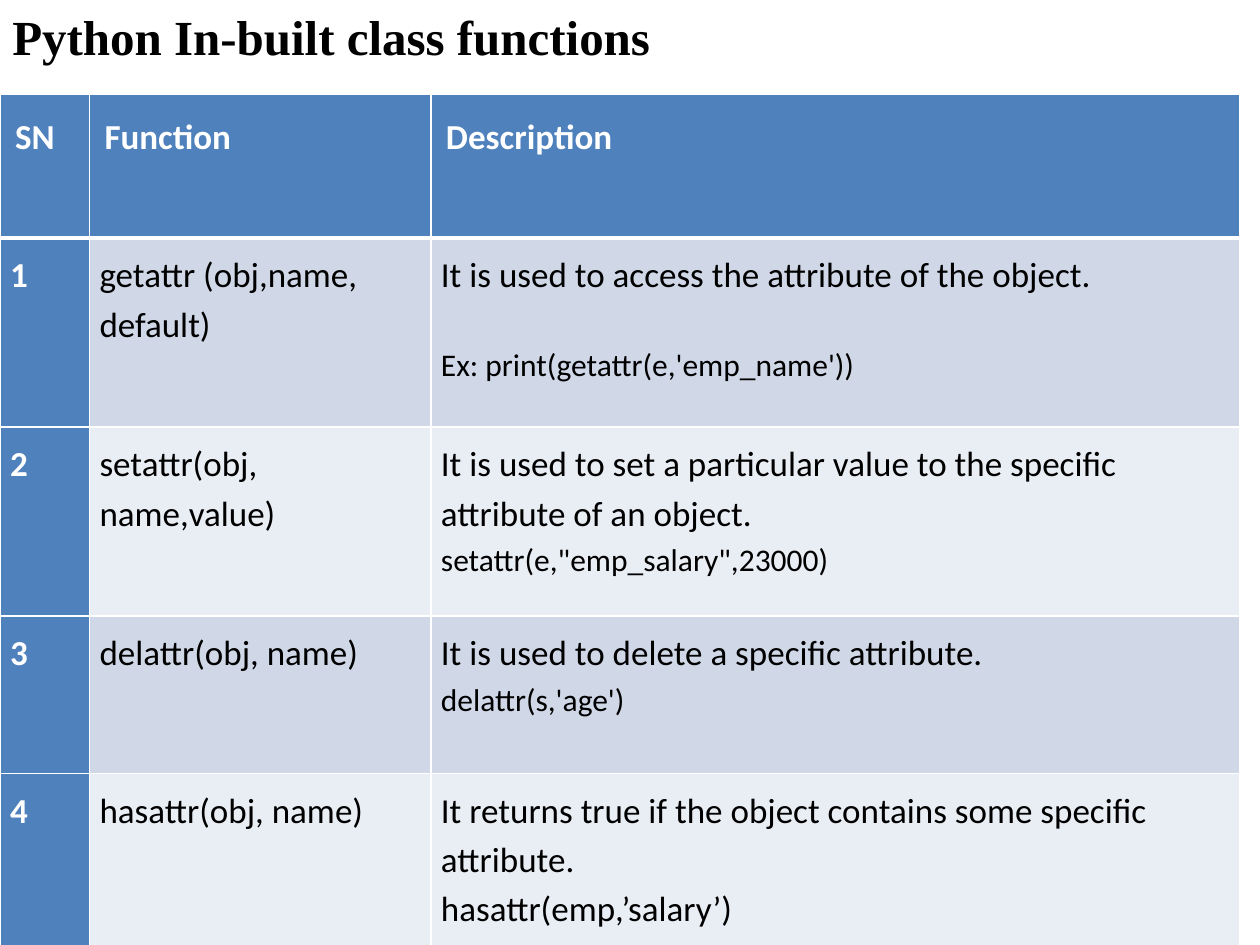
from lxml import etree
from pptx import Presentation
from pptx.dml.color import RGBColor
from pptx.enum.text import MSO_ANCHOR, PP_ALIGN
from pptx.oxml.ns import qn
from pptx.util import Inches, Pt

JUSTIFY, LEFT, TOP = PP_ALIGN.JUSTIFY, PP_ALIGN.LEFT, MSO_ANCHOR.TOP

SLIDE_W, SLIDE_H = 10, 7.5
COLUMNS = [0.71, 2.71, 6.42]
ROWS = [1.14, 1.5, 1.5, 1.25, 1.5]
BLUE, WHITE, BLACK = "4F81BD", "FFFFFF", "000000"
BANDS = ["D0D8E8", "E9EDF4"]

HEADINGS = ["SN", "Function", "Description"]
# Signature, description, example, example size, space before the example
FUNCTIONS = [
    ("getattr (obj,name, default)",
     "It is used to access the attribute of the object.",
     "Ex: print(getattr(e,'emp_name'))", 18, 25),
    ("setattr(obj, name,value)",
     "It is used to set a particular value to the specific attribute of an object.",
     'setattr(e,"emp_salary",23000)', 18, 0),
    ("delattr(obj, name)",
     "It is used to delete a specific attribute.",
     "delattr(s,'age')", 18, 0),
    ("hasattr(obj, name)",
     "It returns true if the object contains some specific attribute.",
     "hasattr(emp,’salary’)", 20, 0),
]


def rgb(value):
    return RGBColor.from_string(value)


def set_all(target, values):
    for name, value in values.items():
        setattr(target, name, value)


def write(paragraph, text, size, color, bold, font="Calibri", **layout):
    run = paragraph.add_run()
    run.text = text
    set_all(run.font, {"name": font, "size": Pt(size), "bold": bold})
    run.font.color.rgb = rgb(color)
    set_all(paragraph, layout)


def add_borders(cell, bottom):
    properties = cell._tc.get_or_add_tcPr()
    widths = {"a:lnL": 1, "a:lnR": 1, "a:lnT": 1, "a:lnB": bottom}
    for position, (side, width) in enumerate(widths.items()):
        line = etree.Element(qn(side), w=str(Pt(width)))
        fill = etree.SubElement(line, qn("a:solidFill"))
        etree.SubElement(fill, qn("a:srgbClr"), val=WHITE)
        properties.insert(position, line)


def fill_cell(cell, lines, fill, color, bold, inset=0.08, bottom=1):
    """Each line is its text, size and space before it."""
    margin = Inches(inset)
    set_all(cell, {"margin_left": margin, "margin_right": margin,
                   "margin_top": margin, "margin_bottom": margin,
                   "vertical_anchor": TOP})
    cell.fill.solid()
    cell.fill.fore_color.rgb = rgb(fill)
    add_borders(cell, bottom)
    frame = cell.text_frame
    for index, (text, size, before) in enumerate(lines):
        paragraph = frame.add_paragraph() if index else frame.paragraphs[0]
        write(paragraph, text, size, color, bold, alignment=LEFT,
              line_spacing=1.15, space_before=Pt(before))


def add_title(slide, text):
    box = slide.shapes.add_textbox(0, 0, Inches(SLIDE_W), Inches(SLIDE_H * 0.1))
    set_all(box.text_frame, {"word_wrap": True, "vertical_anchor": TOP})
    write(box.text_frame.paragraphs[0], text, 28, BLACK, True,
          "Times New Roman", alignment=JUSTIFY, space_before=Pt(5.6))


def add_function_table(slide):
    table = slide.shapes.add_table(
        len(ROWS), len(COLUMNS), 0, Inches(SLIDE_H * 0.1),
        Inches(sum(COLUMNS)), Inches(sum(ROWS))).table
    for column, width in zip(table.columns, COLUMNS):
        column.width = Inches(width)
    for row, height in zip(table.rows, ROWS):
        row.height = Inches(height)

    # Header row
    for column, heading in enumerate(HEADINGS):
        fill_cell(table.cell(0, column), [(heading, 20, 0)], BLUE, WHITE, True,
                  inset=0.12, bottom=3)

    # One banded row for each function
    for number, entry in enumerate(FUNCTIONS, start=1):
        signature, description, example, size, gap = entry
        band = BANDS[(number - 1) % len(BANDS)]
        fill_cell(table.cell(number, 0), [(str(number), 20, 0)], BLUE, WHITE, True)
        fill_cell(table.cell(number, 1), [(signature, 20, 0)], band, BLACK, False)
        fill_cell(table.cell(number, 2),
                  [(description, 20, 0), (example, size, gap)], band, BLACK, False)


def main():
    deck = Presentation()
    set_all(deck, {"slide_width": Inches(SLIDE_W), "slide_height": Inches(SLIDE_H)})
    slide = deck.slides.add_slide(deck.slide_layouts[6])
    add_title(slide, "Python In-built class functions")
    add_function_table(slide)
    deck.save("out.pptx")


if __name__ == "__main__":
    main()
